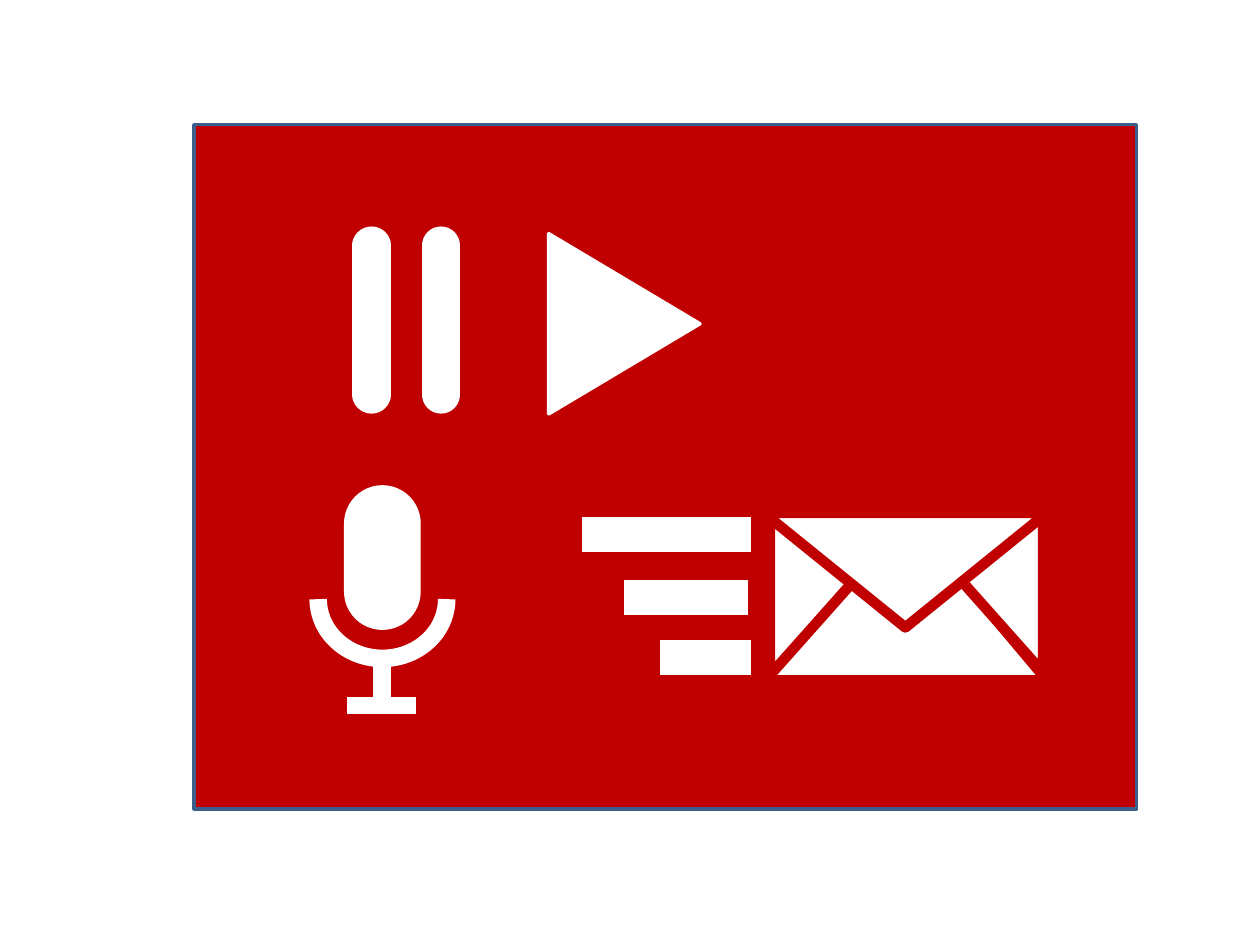
from lxml import etree
from pptx import Presentation
from pptx.dml.color import RGBColor
from pptx.enum.shapes import MSO_CONNECTOR, MSO_SHAPE
from pptx.oxml.ns import qn
from pptx.util import Inches, Pt

RECTANGLE = MSO_SHAPE.RECTANGLE
TRIANGLE = MSO_SHAPE.ISOSCELES_TRIANGLE
ROUNDED = MSO_SHAPE.ROUNDED_RECTANGLE
BRACKET = MSO_SHAPE.LEFT_BRACKET
STRAIGHT = MSO_CONNECTOR.STRAIGHT
COLORS = {"red": "C00000", "white": "FFFFFF", "blue": "3A5F8C"}


class IconSheet:
    def __init__(self, slide):
        self.slide = slide

    def color(self, name):
        return RGBColor.from_string(COLORS[name])

    def paint(self, shape, fill, line, width):
        shape.shadow.inherit = False
        if fill:
            shape.fill.solid()
            shape.fill.fore_color.rgb = self.color(fill)
        else:
            shape.fill.background()
        shape.line.color.rgb = self.color(line)
        shape.line.width = Pt(width)

    def shape(self, kind, box, fill, line, width, rotation=0, adjust=None, parent=None):
        shapes = (parent or self.slide).shapes
        shape = shapes.add_shape(kind, *map(Inches, box))
        shape.rotation = rotation
        if adjust is not None:
            shape.adjustments[0] = adjust
        self.paint(shape, fill, line, width)

    def polygon(self, points, fill, line, width, parent):
        start, *rest = [(Inches(x), Inches(y)) for x, y in points]
        builder = parent.shapes.build_freeform(*start)
        builder.add_line_segments(rest, close=True)
        self.paint(builder.convert_to_shape(), fill, line, width)

    def bar(self, start, end, width, cap="flat"):
        bar = self.slide.shapes.add_connector(STRAIGHT, *map(Inches, start + end))
        bar.line.color.rgb = self.color("white")
        bar.line.width = Pt(width)
        properties = bar._element.spPr
        properties.find(qn("a:ln")).set("cap", cap)
        etree.SubElement(properties, qn("a:effectLst"))

    def pause(self):
        for x in (2.95, 3.5):
            self.bar((x, 1.95), (x, 3.13), 22, "rnd")

    def play(self):
        self.shape(TRIANGLE, (4.24, 1.97, 1.43, 1.2), "white", "white", 2, rotation=90)

    def microphone(self):
        self.shape(ROUNDED, (2.8, 3.92, 0.47, 1.01), "white", "white", 10, adjust=0.5)
        self.shape(BRACKET, (2.8, 4.48, 0.47, 1.02), None, "white", 10,
                   rotation=270, adjust=1.083)
        self.bar((3.03, 5.56), (3.03, 5.23), 10)
        self.bar((2.75, 5.6), (3.3, 5.6), 10)

    def envelope(self):
        envelope = self.slide.shapes.add_group_shape()
        edge = ("white", "red", 6)
        self.shape(TRIANGLE, (6.06, 4.06, 2.25, 1.34), *edge, parent=envelope)
        for outer, inner, top in ((6.11, 6.84, 4.12), (8.28, 7.55, 4.1)):
            side = [(outer, top), (inner, top + 0.42), (outer, top + 1.24)]
            self.polygon(side, *edge, parent=envelope)
        self.shape(TRIANGLE, (6.06, 4.07, 2.25, 0.91), *edge, rotation=180, parent=envelope)

    def speed_lines(self):
        for left, right, y in ((4.62, 5.96, 4.24), (4.95, 5.94, 4.74), (5.24, 5.96, 5.22)):
            self.bar((left, y), (right, y), 20)


def main():
    presentation = Presentation()
    presentation.slide_width = Inches(10)
    presentation.slide_height = Inches(7.5)
    sheet = IconSheet(presentation.slides.add_slide(presentation.slide_layouts[6]))
    sheet.shape(RECTANGLE, (1.54, 0.99, 7.48, 5.43), "red", "blue", 2)
    sheet.pause()
    sheet.play()
    sheet.microphone()
    sheet.envelope()
    sheet.speed_lines()
    presentation.save("out.pptx")


if __name__ == "__main__":
    main()
